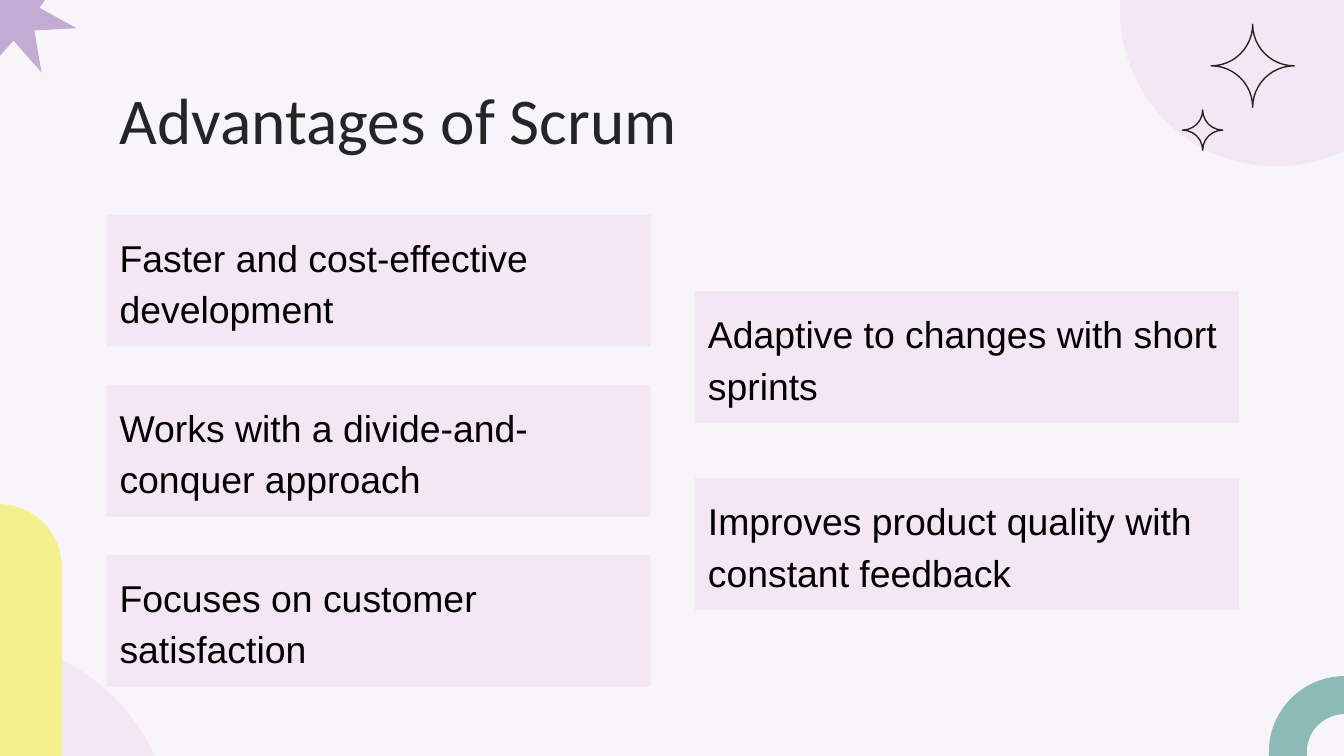
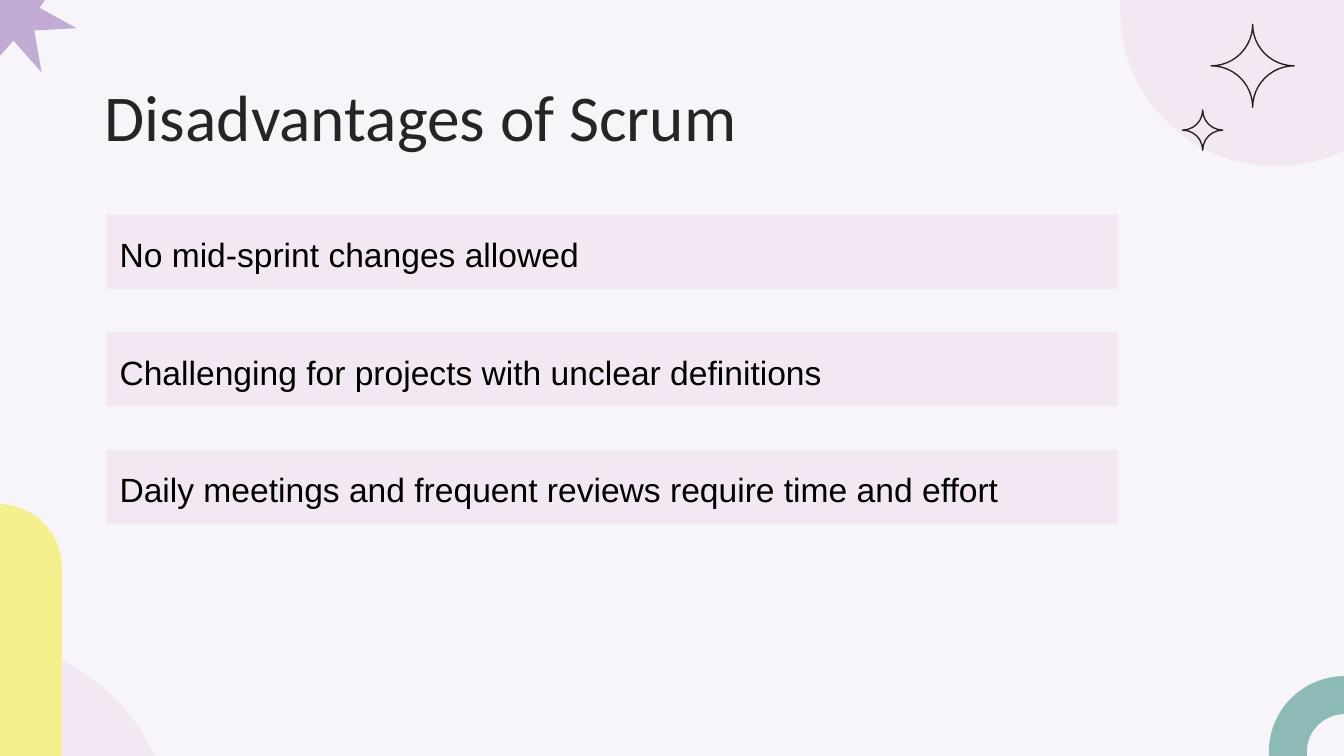
import collections

import pptx
import pptx.dml.color
import pptx.enum.shapes
import pptx.enum.text
import pptx.util

Cm = pptx.util.Cm
Pt = pptx.util.Pt
SHAPE = pptx.enum.shapes.MSO_SHAPE
AUTO_SIZE = pptx.enum.text.MSO_AUTO_SIZE

COLORS = {
    "background": "F8F5FA",
    "blush": "F3E7F3",
    "yellow": "F4F08D",
    "lilac": "C2ACD3",
    "teal": "8DBAB7",
    "ink": "252525",
    "black": "000000",
}

# All lengths in a box are centimetres.
Box = collections.namedtuple("Box", "left top width height")
PAGE = Box(0, 0, 25.4, 14.29)

# Kind, place on the page, fill, line, adjustments.
DECORATIONS = [
    (SHAPE.OVAL, Box(21.18, -2.74, 5.87, 5.87), "blush", "blush", []),
    (SHAPE.OVAL, Box(-4.29, 12.09, 7.54, 7.54), "blush", "blush", []),
    (SHAPE.ROUND_2_SAME_RECTANGLE, Box(-1.22, 9.53, 2.39, 4.76), "yellow", None, [0.5, 0]),
    (SHAPE.STAR_7_POINT, Box(-0.94, -0.97, 2.39, 2.34), "lilac", None, [0.206]),
    (SHAPE.DONUT, Box(23.98, 12.78, 2.87, 2.87), "teal", None, [0.25]),
    (SHAPE.PLAQUE, Box(22.89, 0.46, 1.57, 1.57), None, "ink", [0.5]),
    (SHAPE.PLAQUE, Box(22.35, 2.08, 0.76, 0.76), None, "ink", [0.5]),
]

FRAME_FORMAT = {
    "word_wrap": True,
    "vertical_anchor": pptx.enum.text.MSO_ANCHOR.TOP,
    "margin_left": Cm(0.25),
    "margin_right": Cm(0.25),
    "margin_top": Cm(0.25),
    "margin_bottom": Cm(0.25),
}


def rgb(name):
    return pptx.dml.color.RGBColor.from_string(COLORS[name])


def set_attributes(target, values):
    for name, value in values.items():
        setattr(target, name, value)


def paint(fill, color):
    """Fill with a named colour, or with nothing when it is None."""
    if color is None:
        fill.background()
    else:
        fill.solid()
        fill.fore_color.rgb = rgb(color)


def add_shape(slide, kind, box, fill, line=None, adjustments=()):
    shape = slide.shapes.add_shape(kind, *map(Cm, box))
    shape.shadow.inherit = False
    paint(shape.fill, fill)
    paint(shape.line.fill, line)
    if line:
        shape.line.width = Pt(0.75)
    for index, value in enumerate(adjustments):
        shape.adjustments[index] = value
    return shape


def write_text(shape, text, font, color, auto_size, line_spacing):
    frame = shape.text_frame
    frame.text = text
    set_attributes(frame, {**FRAME_FORMAT, "auto_size": auto_size})
    paragraph = frame.paragraphs[0]
    set_attributes(paragraph, {
        "alignment": pptx.enum.text.PP_ALIGN.LEFT,
        "line_spacing": line_spacing,
    })
    run_font = paragraph.runs[0].font
    set_attributes(run_font, font)
    run_font.color.rgb = rgb(color)


def add_decorations(slide, page):
    for kind, box, fill, line, adjustments in DECORATIONS:
        place = box._replace(left=page.left + box.left, top=page.top + box.top)
        add_shape(slide, kind, place, fill, line, adjustments)


def set_title(slide, box, text):
    title = slide.shapes.title
    set_attributes(title, dict(zip(box._fields, map(Cm, box))))
    write_text(title, text, {"name": "Calibri", "size": Pt(35)}, "ink",
               AUTO_SIZE.NONE, 1.0)


def add_cards(slide, box, texts, card_height, size):
    """Spread cards evenly from the top to the bottom of the box."""
    step = (box.height - card_height) / (len(texts) - 1)
    for index, text in enumerate(texts):
        place = box._replace(top=box.top + index * step, height=card_height)
        card = add_shape(slide, SHAPE.RECTANGLE, place, "blush")
        write_text(card, text, {"name": "Arial", "size": Pt(size)}, "black",
                   AUTO_SIZE.SHAPE_TO_FIT_TEXT, 1.15)


def add_slide(presentation, title, title_box):
    slide = presentation.slides.add_slide(presentation.slide_layouts[5])
    add_decorations(slide, PAGE)
    set_title(slide, title_box, title)
    return slide


def add_advantages(presentation):
    slide = add_slide(presentation, "Advantages of Scrum", Box(2.01, 1.24, 21.41, 1.6))
    add_cards(slide, Box(2.01, 4.06, 10.29, 8.92), [
        "Faster and cost-effective development",
        "Works with a divide-and-conquer approach",
        "Focuses on customer satisfaction",
    ], 2.49, 20)
    add_cards(slide, Box(13.13, 5.51, 10.29, 6.02), [
        "Adaptive to changes with short sprints",
        "Improves product quality with constant feedback",
    ], 2.49, 20)


def add_disadvantages(presentation):
    slide = add_slide(presentation, "Disadvantages of Scrum", Box(1.73, 1.19, 21.41, 1.6))
    add_cards(slide, Box(2.01, 4.06, 19.13, 5.84), [
        "No mid-sprint changes allowed",
        "Challenging for projects with unclear definitions",
        "Daily meetings and frequent reviews require time and effort",
    ], 1.4, 18)


def main():
    presentation = pptx.Presentation()
    presentation.slide_width = Cm(PAGE.width)
    presentation.slide_height = Cm(PAGE.height)
    paint(presentation.slide_master.background.fill, "background")
    add_advantages(presentation)
    add_disadvantages(presentation)
    presentation.save("out.pptx")


if __name__ == "__main__":
    main()
